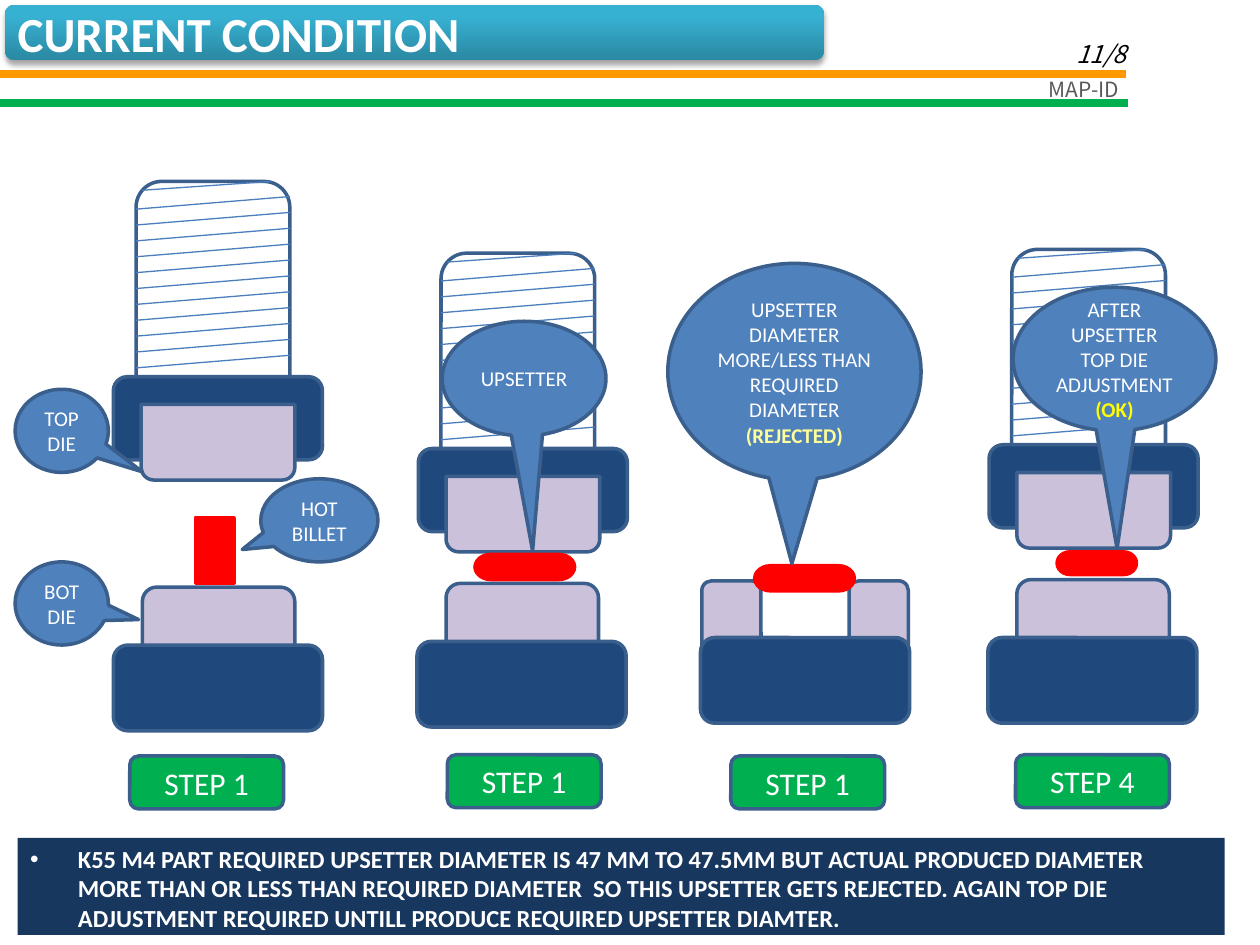
from lxml.etree import SubElement
from pptx import Presentation
from pptx.dml.color import RGBColor
from pptx.enum.shapes import MSO_CONNECTOR, MSO_SHAPE
from pptx.enum.text import MSO_ANCHOR, MSO_AUTO_SIZE, PP_ALIGN
from pptx.oxml.ns import qn
from pptx.util import Inches, Pt

WHITE, RED, NAVY, LILAC = "FFFFFF", "FF0000", "1F497D", "CCC1DA"
BLUE, OUTLINE, HATCH, GREEN = "4F81BD", "3A5F8C", "4B7EBC", "00B050"
HEADER_FONT = "Noto Sans CJK JP"

STEPS = [
    ("STEP 1", 1.03, 6),
    ("STEP 1", 3.55, 5.99),
    ("STEP 1", 5.8, 6),
    ("STEP 4", 8.06, 5.99),
]
RAMS = [(1.08, 1.44), (3.5, 2.01), (8.03, 1.98)]
BOTTOM_DIES = [(1.13, 4.66), (3.54, 4.63), (8.07, 4.6)]
CALLOUTS = [
    ((0.12, 3.09, 0.74, 0.66), (0.866, 0.493), [[("TOP DIE", WHITE, False)]]),
    ((0.12, 4.46, 0.74, 0.66), (0.824, 0.194), [[("BOT DIE", WHITE, False)]]),
    ((2.07, 3.8, 0.93, 0.66), (-0.658, 0.351), [[("HOT BILLET ", WHITE, False)]]),
    ((3.51, 2.55, 1.3, 0.91), (0.052, 1.501), [[("UPSETTER", WHITE, False)]]),
    ((5.3, 2.09, 2.01, 1.72), (-0.01, 0.885), [[
        ("UPSETTER DIAMETER MORE/LESS THAN REQUIRED DIAMETER ", WHITE, False),
        ("(REJECTED)", "FFFF99", True)]]),
    ((8.04, 2.28, 1.61, 1.14), (0.013, 1.318), [
        [("AFTER UPSETTER TOP DIE ADJUSTMENT", WHITE, False)],
        [("(OK)", "FFFF00", True)]]),
]
FINDING = (
    "K55 M4 PART REQUIRED UPSETTER DIAMETER IS 47 MM TO 47.5MM BUT ACTUAL "
    "PRODUCED DIAMETER MORE THAN OR LESS THAN REQUIRED DIAMETER  SO THIS "
    "UPSETTER GETS REJECTED. AGAIN TOP DIE ADJUSTMENT REQUIRED UNTILL PRODUCE "
    "REQUIRED UPSETTER DIAMTER."
)


def color(value):
    """Turn a hex string into a colour."""
    return RGBColor.from_string(value)


def apply(target, values):
    """Set each attribute named in a dict of format values."""
    for name, value in values.items():
        setattr(target, name, value)


def write(paragraph, text, ink, align=PP_ALIGN.LEFT, font="Calibri", **style):
    """Add one formatted run to a paragraph."""
    paragraph.alignment = align
    run = paragraph.add_run()
    run.text = text
    apply(run.font, {"name": font, **style})
    run.font.color.rgb = color(ink)


def add_block(shapes, kind, box, fill, outline=OUTLINE):
    """Add a flat filled preset shape, outlined unless outline is None."""
    block = shapes.add_shape(kind, *map(Inches, box))
    block.shadow.inherit = False
    block.fill.solid()
    block.fill.fore_color.rgb = color(fill)
    if outline:
        block.line.color.rgb = color(outline)
        block.line.width = Pt(2)
    else:
        block.line.fill.background()
    return block


def add_rule(shapes, start, end, ink, weight):
    """Add a straight line without a shadow."""
    rule = shapes.add_connector(
        MSO_CONNECTOR.STRAIGHT, *map(Inches, (*start, *end)))
    rule.line.color.rgb = color(ink)
    rule.line.width = Pt(weight)
    SubElement(rule._element.spPr, qn("a:effectLst"))


def add_label(slide, box, text, ink, anchor, **style):
    """Add a right-aligned header label."""
    frame = slide.shapes.add_textbox(*map(Inches, box)).text_frame
    apply(frame, {"word_wrap": True, "vertical_anchor": anchor})
    write(frame.paragraphs[0], text, ink, PP_ALIGN.RIGHT, HEADER_FONT, **style)


def add_title(slide):
    """Put the title over a shaded rounded bar."""
    box = dict(zip(("left", "top", "width", "height"),
                   map(Inches, (0.04, 0.04, 6.5, 0.44))))
    bar = slide.shapes.add_shape(MSO_SHAPE.ROUNDED_RECTANGLE, *box.values())
    bar.line.fill.background()
    bar.fill.gradient()
    bar.fill.gradient_angle = 90
    for stop, position, tint in zip(
            bar.fill.gradient_stops, (0, 0.8), ("2A88A2", "37B1D2")):
        stop.position = position
        stop.color.rgb = color(tint)
    effects = SubElement(bar._element.spPr, qn("a:effectLst"))
    shadow = SubElement(
        effects, qn("a:outerShdw"), blurRad=str(Pt(3.1)), dist=str(Pt(1.8)),
        dir="5400000", rotWithShape="0")
    shade = SubElement(shadow, qn("a:srgbClr"), val="000000")
    SubElement(shade, qn("a:alpha"), val="35000")

    title = slide.shapes.title
    title._element.addprevious(bar._element)
    apply(title, box)
    apply(title.text_frame, {
        "word_wrap": True,
        "auto_size": MSO_AUTO_SIZE.NONE,
        "vertical_anchor": MSO_ANCHOR.MIDDLE,
    })
    write(title.text_frame.paragraphs[0], "CURRENT CONDITION", WHITE,
          size=Pt(28), bold=True)


def add_header(slide):
    """Add the two header rules and their labels."""
    add_rule(slide.shapes, (-0.01, 0.59), (8.94, 0.59), "FF9900", 4.5)
    add_rule(slide.shapes, (0, 0.82), (8.95, 0.82), GREEN, 4.5)
    add_label(slide, (6.96, 0.09, 2.08, 0.5), "11/8", "000000",
              MSO_ANCHOR.BOTTOM, size=Pt(14), italic=True)
    add_label(slide, (7.48, 0.56, 1.5, 0.3), "MAP-ID", "595959",
              MSO_ANCHOR.TOP, size=Pt(12))


def add_ram(slide, x, y):
    """Add a hatched ram with its holder and top die."""
    parts = slide.shapes.add_group_shape().shapes
    add_block(parts, MSO_SHAPE.ROUNDED_RECTANGLE, (x, y, 1.22, 1.93), WHITE)
    add_rule(parts, (x + 0.05, y + 0.07), (x + 1.07, y), HATCH, 0.75)
    for row in range(11):
        level = y + 0.22 + 0.126 * row
        add_rule(parts, (x, level), (x + 1.22, level - 0.1), HATCH, 0.75)
    add_block(parts, MSO_SHAPE.ROUNDED_RECTANGLE,
              (x - 0.18, y + 1.55, 1.66, 0.66), NAVY)
    top_die = add_block(parts, MSO_SHAPE.ROUND_2_SAME_RECTANGLE,
                        (x + 0.04, y + 1.77, 1.22, 0.6), LILAC)
    top_die.rotation = 180


def add_bottom_die(slide, x, y):
    """Add a bottom die seated in its holder."""
    parts = slide.shapes.add_group_shape().shapes
    add_block(parts, MSO_SHAPE.ROUND_2_SAME_RECTANGLE, (x, y, 1.21, 0.68), LILAC)
    add_block(parts, MSO_SHAPE.ROUNDED_RECTANGLE,
              (x - 0.23, y + 0.46, 1.66, 0.68), NAVY)


def add_upset(slide, *box):
    """Add a flattened red billet."""
    add_block(slide.shapes, MSO_SHAPE.FLOWCHART_TERMINATOR, box, RED, RED)


def add_open_die(slide):
    """Add the split die with the rejected part on top."""
    for x in (5.57, 6.74):
        add_block(slide.shapes, MSO_SHAPE.ROUND_2_SAME_RECTANGLE,
                  (x, 4.61, 0.47, 0.66), LILAC)
    add_upset(slide, 5.99, 4.49, 0.79, 0.2)
    add_block(slide.shapes, MSO_SHAPE.ROUNDED_RECTANGLE,
              (5.56, 5.06, 1.66, 0.68), NAVY)


def add_callout(slide, box, tip, lines):
    """Add an oval callout pointing at a part."""
    callout = add_block(slide.shapes, MSO_SHAPE.OVAL_CALLOUT, box, BLUE)
    for index, offset in enumerate(tip):
        callout.adjustments[index] = offset
    frame = callout.text_frame
    apply(frame, {"word_wrap": True, "vertical_anchor": MSO_ANCHOR.MIDDLE})
    for index, pieces in enumerate(lines):
        paragraph = frame.add_paragraph() if index else frame.paragraphs[0]
        for text, ink, bold in pieces:
            write(paragraph, text, ink, PP_ALIGN.CENTER, size=Pt(12), bold=bold)


def add_step(slide, text, x, y):
    """Add a green step tag."""
    tag = add_block(slide.shapes, MSO_SHAPE.ROUNDED_RECTANGLE,
                    (x, y, 1.22, 0.42), GREEN)
    tag.text_frame.vertical_anchor = MSO_ANCHOR.MIDDLE
    write(tag.text_frame.paragraphs[0], text, WHITE, PP_ALIGN.CENTER, size=Pt(18))


def add_finding(slide):
    """Add the bulleted finding along the bottom."""
    band = add_block(slide.shapes, MSO_SHAPE.RECTANGLE,
                     (0.14, 6.65, 9.58, 0.77), "17375E", None)
    apply(band.text_frame, {"word_wrap": True, "vertical_anchor": MSO_ANCHOR.TOP})
    paragraph = band.text_frame.paragraphs[0]
    properties = paragraph._p.get_or_add_pPr()
    properties.set("marL", str(Inches(0.38)))
    properties.set("indent", str(Inches(-0.38)))
    SubElement(properties, qn("a:buFont"), typeface="Arial")
    SubElement(properties, qn("a:buChar"), char="•")
    write(paragraph, FINDING, WHITE, size=Pt(14), bold=True)


def main():
    """Build the slide and save it."""
    deck = Presentation()
    apply(deck, {"slide_width": Inches(10), "slide_height": Inches(7.5)})
    slide = deck.slides.add_slide(deck.slide_layouts[5])
    add_title(slide)
    add_header(slide)
    for place in RAMS:
        add_ram(slide, *place)
    for place in BOTTOM_DIES:
        add_bottom_die(slide, *place)
    add_block(slide.shapes, MSO_SHAPE.RECTANGLE, (1.55, 4.11, 0.31, 0.52), RED, RED)
    add_upset(slide, 3.77, 4.4, 0.79, 0.2)
    add_upset(slide, 8.39, 4.38, 0.63, 0.18)
    add_open_die(slide)
    for callout in CALLOUTS:
        add_callout(slide, *callout)
    for step in STEPS:
        add_step(slide, *step)
    add_finding(slide)
    deck.save("out.pptx")


if __name__ == "__main__":
    main()
